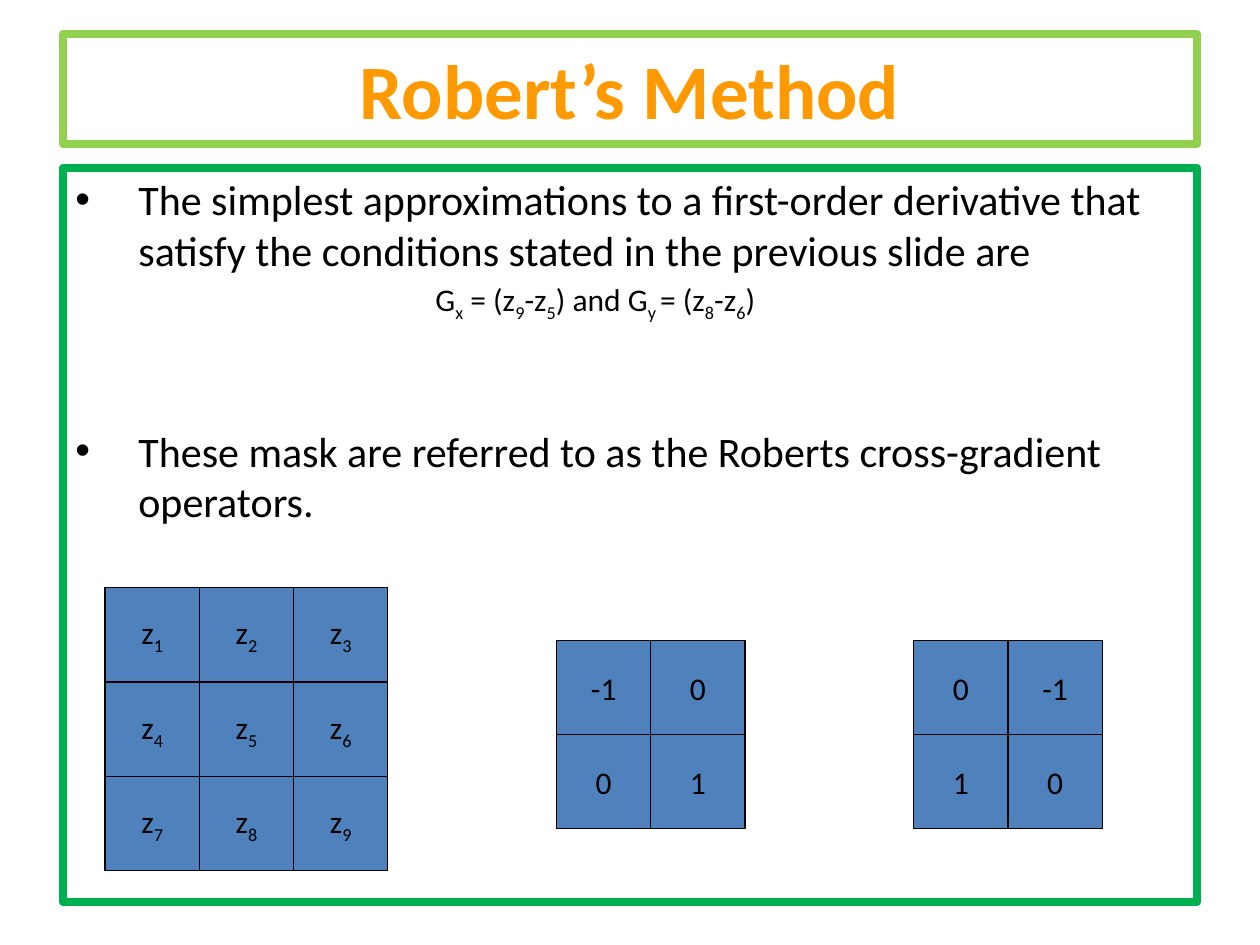
from pptx import Presentation
from pptx.dml.color import RGBColor
from pptx.enum.shapes import MSO_SHAPE as Kind
from pptx.enum.text import MSO_ANCHOR as Anchor, PP_ALIGN as Align
from pptx.oxml.ns import qn
from pptx.util import Cm, Pt
from lxml.etree import SubElement


def tint(code):
    return RGBColor.from_string(code)


def write(para, text, size=18, color="000000", bold=False, align=Align.LEFT,
          gap=0, bullet=False):
    para.alignment = align
    para.space_before = Pt(gap)
    if bullet:
        props = para._p.get_or_add_pPr()
        props.set("marL", str(Cm(1.27)))
        props.set("indent", str(-Cm(1.27)))
        SubElement(props, qn("a:buFont")).set("typeface", "Arial")
        SubElement(props, qn("a:buChar")).set("char", "•")
    for i, part in enumerate(text.split("|")):
        if not part:
            continue
        run = para.add_run()
        run.text = part
        font = run.font
        font.name = "Calibri"
        font.size = Pt(size)
        font.bold = bold
        font.color.rgb = tint(color)
        if i % 2:
            run._r.get_or_add_rPr().set("baseline", "-25000")


class Board:
    fill = "4F81BD"
    edge = "000000"
    side = 1.9

    def __init__(self, slide):
        self.shapes = slide.shapes

    def box(self, x, y, w, h, line, width, fill=None, anchor=Anchor.MIDDLE,
            wrap=True):
        shape = self.shapes.add_shape(Kind.RECTANGLE, Cm(x), Cm(y), Cm(w), Cm(h))
        shape.shadow.inherit = False
        if fill:
            shape.fill.solid()
            shape.fill.fore_color.rgb = tint(fill)
        else:
            shape.fill.background()
        shape.line.color.rgb = tint(line)
        shape.line.width = Pt(width)
        frame = shape.text_frame
        frame.vertical_anchor = anchor
        frame.word_wrap = wrap
        return frame

    def label(self, x, y, w, h, text):
        frame = self.shapes.add_textbox(Cm(x), Cm(y), Cm(w), Cm(h)).text_frame
        frame.word_wrap = False
        write(frame.paragraphs[0], text)

    def grid(self, x, y, rows):
        for r, row in enumerate(rows):
            for c, text in enumerate(row):
                frame = self.box(x + c * self.side, y + r * self.side,
                                 self.side, self.side, self.edge, 0.75,
                                 fill=self.fill, wrap=False)
                write(frame.paragraphs[0], text, align=Align.CENTER)


def main():
    deck = Presentation()
    deck.slide_width, deck.slide_height = Cm(25.4), Cm(19.05)
    board = Board(deck.slides.add_slide(deck.slide_layouts[6]))

    title = board.box(1.27, 0.69, 22.86, 2.21, "92D050", 4.5)
    write(title.paragraphs[0], "Robert’s Method", size=44, color="FF9900",
          bold=True, align=Align.CENTER)

    body = board.box(1.27, 3.38, 22.86, 14.81, "00B050", 4.5, anchor=Anchor.TOP)
    write(body.paragraphs[0],
          "The simplest approximations to a first-order derivative that "
          "satisfy the conditions stated in the previous slide are",
          size=24, bullet=True)
    write(body.add_paragraph(),
          "These mask are referred to as the Roberts cross-gradient operators.",
          size=24, gap=86, bullet=True)

    board.label(8.53, 5.52, 6.96, 1.11,
                "G|x| = (z|9|-z|5|) and G|y |= (z|8|-z|6|)")

    board.grid(2.12, 11.85,
               [[f"z|{r * 3 + c + 1}" for c in range(3)] for r in range(3)])
    board.grid(11.22, 12.91, [["-1", "0"], ["0", "1"]])
    board.grid(18.42, 12.91, [["0", "-1"], ["1", "0"]])
    deck.save("out.pptx")


if __name__ == "__main__":
    main()
